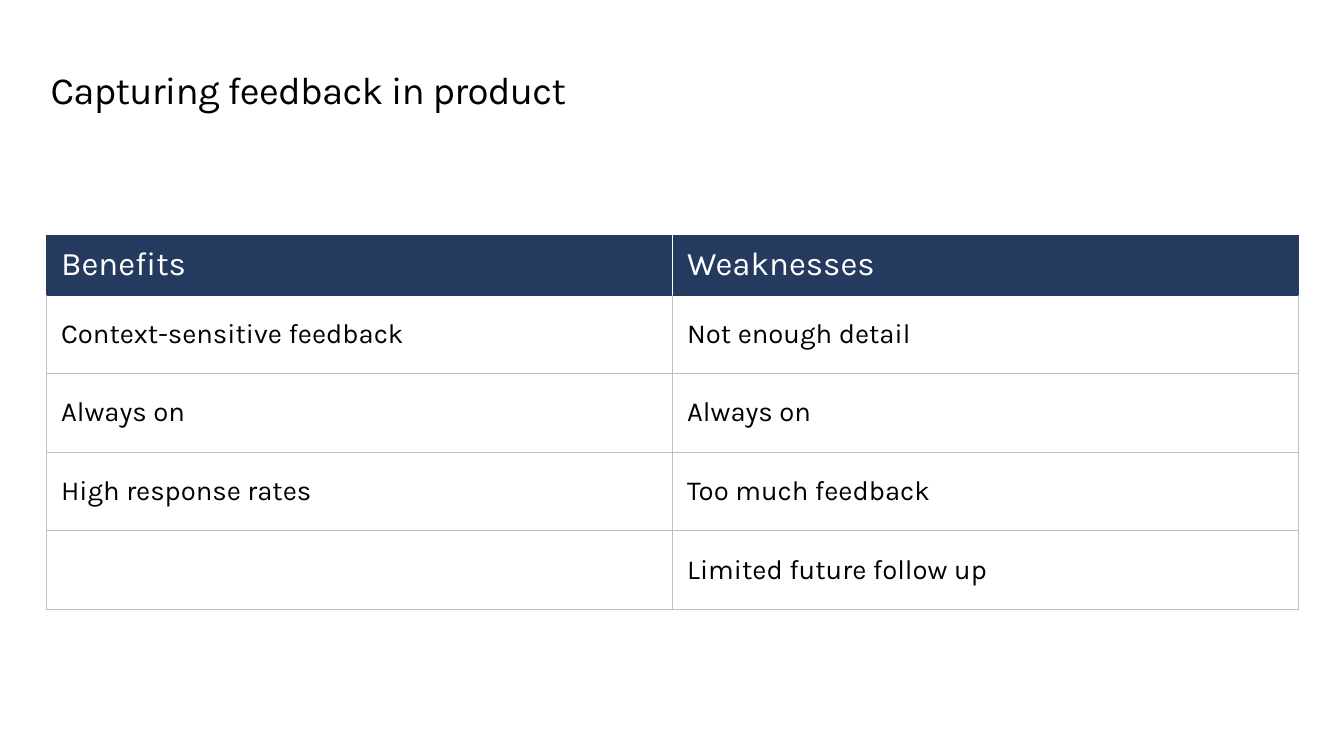
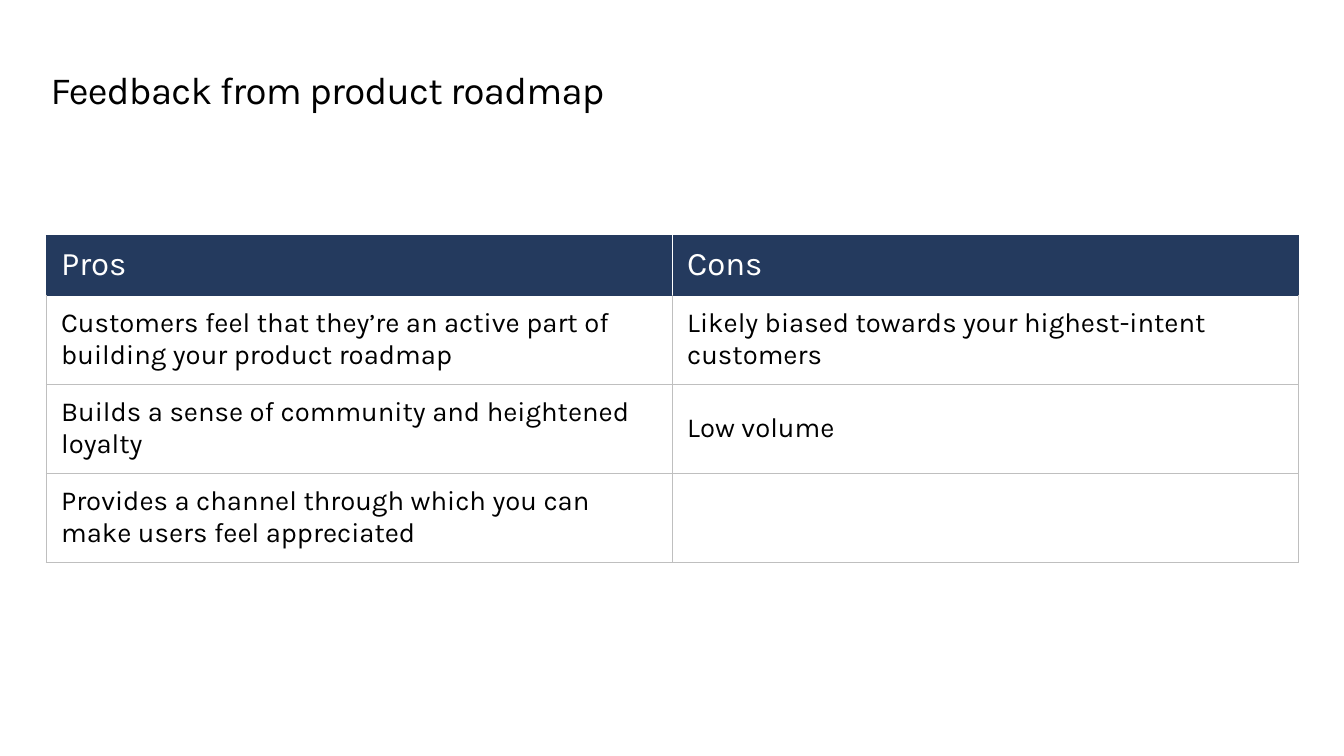
import dataclasses

import lxml.etree
import pptx
import pptx.dml.color
import pptx.enum.text
import pptx.oxml.ns
import pptx.util

Cm = pptx.util.Cm
Pt = pptx.util.Pt


@dataclasses.dataclass(frozen=True)
class Theme:
    font: str = "Karla"
    ink: str = "000000"
    navy: str = "243A5E"
    white: str = "FFFFFF"
    rule: str = "BFBFBF"
    title: int = 28
    head: int = 24
    body: int = 20


THEME = Theme()
WIDTH, HEIGHT = 34.54, 19.43
LEFT, TOP, SPAN = 1.19, 6.06, 32.18
HEAD = 1.52


def add_run(para, text, size, color):
    run = para.add_run()
    run.text = text
    font = run.font
    font.name = THEME.font
    font.size = Pt(size)
    font.bold = False
    font.color.rgb = pptx.dml.color.RGBColor.from_string(color)
    return run


def add_title(slide, text):
    title = slide.shapes.title
    title.left, title.top = Cm(1.3), Cm(1.75)
    title.width, title.height = Cm(32.03), Cm(1.14)
    frame = title.text_frame
    frame.margin_left = frame.margin_right = 0
    frame.margin_top = frame.margin_bottom = 0
    frame.word_wrap = True
    frame.auto_size = pptx.enum.text.MSO_AUTO_SIZE.SHAPE_TO_FIT_TEXT
    frame.vertical_anchor = pptx.enum.text.MSO_ANCHOR.TOP
    para = frame.paragraphs[0]
    para.alignment = pptx.enum.text.PP_ALIGN.LEFT
    para.line_spacing = Pt(32)
    run = add_run(para, text, THEME.title, THEME.ink)
    run.font._element.set("spc", "-50")


def set_edges(cell, left, right, top, bottom):
    props = cell._tc.get_or_add_tcPr()
    qn = pptx.oxml.ns.qn
    for side, color in zip("LRTB", (left, right, top, bottom)):
        line = lxml.etree.SubElement(props, qn(f"a:ln{side}"), w=str(Pt(0.5)))
        fill = lxml.etree.SubElement(line, qn("a:solidFill"))
        lxml.etree.SubElement(fill, qn("a:srgbClr"), val=color)


def fill_cell(cell, text, size, color):
    cell.margin_left = cell.margin_right = Cm(0.38)
    cell.margin_top = cell.margin_bottom = Cm(0.25)
    if text:
        add_run(cell.text_frame.paragraphs[0], text, size, color)


def style_head(cell, text, first):
    navy, white = THEME.navy, THEME.white
    left, right = (navy, white) if first else (white, navy)
    set_edges(cell, left, right, navy, navy)
    cell.fill.solid()
    cell.fill.fore_color.rgb = pptx.dml.color.RGBColor.from_string(navy)
    fill_cell(cell, text, THEME.head, white)


def style_body(cell, text, top):
    set_edges(cell, THEME.rule, THEME.rule, top, THEME.rule)
    cell.fill.background()
    cell.vertical_anchor = pptx.enum.text.MSO_ANCHOR.MIDDLE
    fill_cell(cell, text, THEME.body, THEME.ink)


def add_grid(slide, heads, rows, step):
    height = HEAD + step * len(rows)
    frame = slide.shapes.add_table(
        len(rows) + 1, len(heads), Cm(LEFT), Cm(TOP), Cm(SPAN), Cm(height))
    table = frame.table
    table.horz_banding = False
    for col in table.columns:
        col.width = Cm(SPAN / len(heads))
    for index, row in enumerate(table.rows):
        row.height = Cm(step if index else HEAD)
    for col, text in enumerate(heads):
        style_head(table.cell(0, col), text, col == 0)
    for index, texts in enumerate(rows, 1):
        top = THEME.navy if index == 1 else THEME.rule
        for col, text in enumerate(texts):
            style_body(table.cell(index, col), text, top)


def add_slide(deck, title, heads, rows, step):
    slide = deck.slides.add_slide(deck.slide_layouts[5])
    add_title(slide, title)
    add_grid(slide, heads, rows, step)


def main():
    deck = pptx.Presentation()
    deck.slide_width, deck.slide_height = Cm(WIDTH), Cm(HEIGHT)
    add_slide(deck, "Capturing feedback in product", ("Benefits", "Weaknesses"), [
        ("Context-sensitive feedback", "Not enough detail"),
        ("Always on", "Always on"),
        ("High response rates", "Too much feedback"),
        ("", "Limited future follow up"),
    ], 2.02)
    add_slide(deck, "Feedback from product roadmap", ("Pros", "Cons"), [
        ("Customers feel that they’re an active part of building your product roadmap",
         "Likely biased towards your highest-intent customers"),
        ("Builds a sense of community and heightened loyalty", "Low volume"),
        ("Provides a channel through which you can make users feel appreciated", ""),
    ], 2.29)
    deck.save("out.pptx")


if __name__ == "__main__":
    main()
